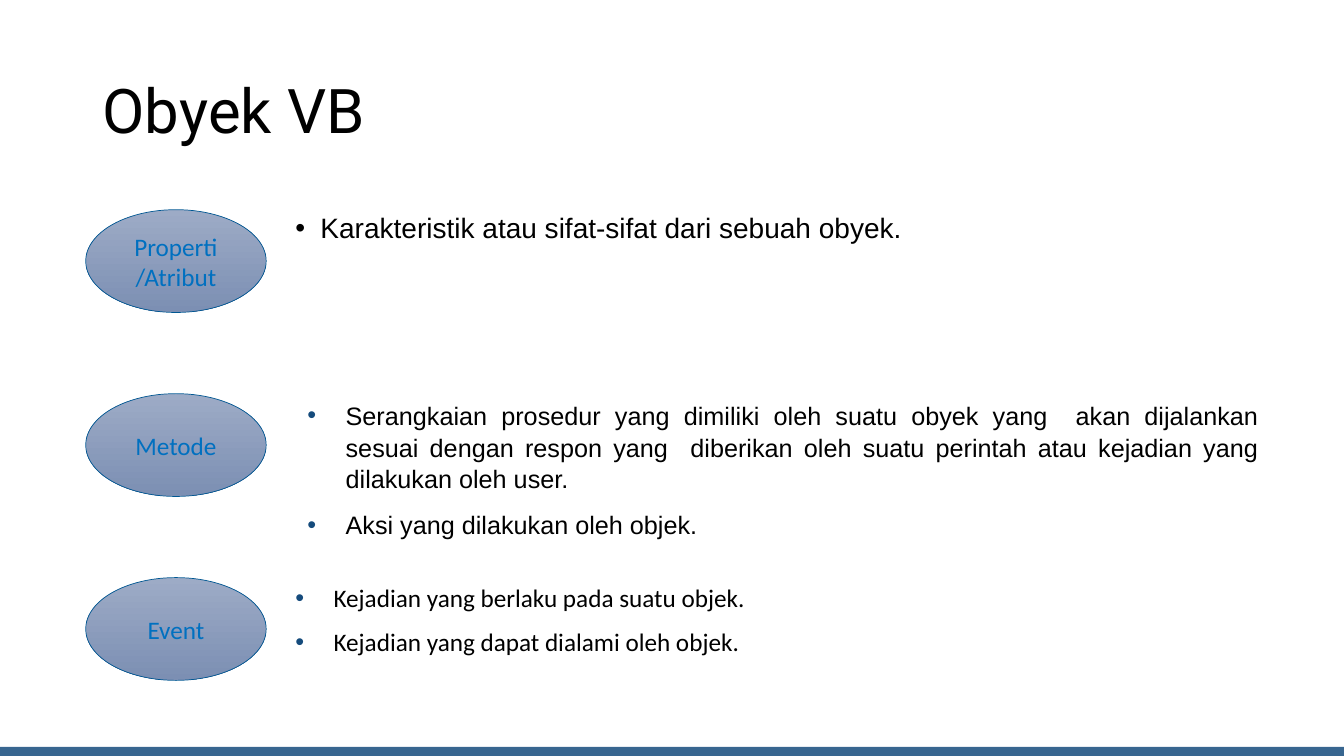
from lxml import etree
from pptx import Presentation
from pptx.dml.color import RGBColor
from pptx.enum.shapes import MSO_SHAPE as SHAPE
from pptx.enum.text import MSO_ANCHOR as ANCHOR, PP_ALIGN as ALIGN
from pptx.oxml.ns import qn
from pptx.util import Inches, Pt

BLACK = RGBColor(0x00, 0x00, 0x00)
LABEL_BLUE = RGBColor(0x00, 0x70, 0xC0)
OUTLINE = RGBColor(0x00, 0x57, 0x92)
BAR_BLUE = RGBColor(0x38, 0x66, 0x90)
BULLET_BLUE = RGBColor(0x15, 0x4B, 0x7C)
GRADIENT = [RGBColor(0x9D, 0xAB, 0xC6), RGBColor(0x7C, 0x8F, 0xB3)]

# Content
TITLE = "Obyek VB"
CONCEPTS = [
    {"label": ["Properti", "/Atribut"],
     "points": ["Karakteristik atau sifat-sifat dari sebuah obyek."],
     "font": "Arial", "size": 20, "height": 1.02, "indent": (0.25, 0.25),
     "bullet": BLACK, "format": {"line_spacing": 0.9}},
    {"label": ["Metode"],
     "points": ["Serangkaian prosedur yang dimiliki oleh suatu obyek yang  akan "
                "dijalankan sesuai dengan respon yang  diberikan oleh suatu "
                "perintah atau kejadian yang dilakukan oleh user.",
                "Aksi yang dilakukan oleh objek."],
     "font": "Arial", "size": 18, "height": 1.33, "indent": (0.5, 0.38),
     "bullet": BULLET_BLUE,
     "format": {"alignment": ALIGN.JUSTIFY, "line_spacing": 1.05}},
    {"label": ["Event"],
     "points": ["Kejadian yang berlaku pada suatu objek.",
                "Kejadian yang dapat dialami oleh objek."],
     "font": "Calibri", "size": 18, "height": 1.02, "indent": (0.38, 0.38),
     "bullet": BULLET_BLUE, "format": {}},
]

# Layout in inches
WIDTH, HEIGHT = 13.33, 7.5
BAR_TOP = 7.41
FIRST_ROW, ROW_STEP = 2.08, 1.825
OVAL_LEFT, OVAL_W, OVAL_H = 0.85, 1.79, 1.02
POINTS_LEFT, POINTS_W = 2.83, 9.75


def write(tf, lines, font, size, color, para_format, indent=None, bullet=None):
    """Fill a text frame with one paragraph per line."""
    tf.word_wrap = True
    for i, line in enumerate(lines):
        p = tf.paragraphs[0] if i == 0 else tf.add_paragraph()
        for name, value in para_format.items():
            setattr(p, name, value)
        if bullet is not None:
            if i:
                p.space_before = Pt(10)
            add_bullet(p, indent, bullet)
        r = p.add_run()
        r.text = line
        r.font.name, r.font.size = font, Pt(size)
        r.font.color.rgb = color


def add_bullet(p, indent, color):
    left, hanging = indent
    pPr = p._p.get_or_add_pPr()
    pPr.set("marL", str(Inches(left)))
    pPr.set("indent", str(-Inches(hanging)))
    bu_color = etree.SubElement(pPr, qn("a:buClr"))
    etree.SubElement(bu_color, qn("a:srgbClr")).set("val", str(color))
    etree.SubElement(pPr, qn("a:buFont")).set("typeface", "Arial")
    etree.SubElement(pPr, qn("a:buChar")).set("char", "•")


def add_text(s, left, top, width, height, anchor=ANCHOR.TOP):
    box = s.shapes.add_textbox(*map(Inches, (left, top, width, height)))
    box.text_frame.vertical_anchor = anchor
    return box.text_frame


def add_shape(s, kind, left, top, width, height):
    sp = s.shapes.add_shape(kind, *map(Inches, (left, top, width, height)))
    sp.shadow.inherit = False
    return sp


def add_oval(s, top, label):
    sp = add_shape(s, SHAPE.OVAL, OVAL_LEFT, top, OVAL_W, OVAL_H)
    sp.fill.gradient()
    sp.fill.gradient_angle = 270
    for stop, color in zip(sp.fill.gradient_stops, GRADIENT):
        stop.color.rgb = color
    sp.line.color.rgb = OUTLINE
    sp.line.width = Pt(0.5)
    sp.text_frame.vertical_anchor = ANCHOR.MIDDLE
    write(sp.text_frame, label, "Calibri", 18, LABEL_BLUE,
          {"alignment": ALIGN.CENTER})


def main():
    prs = Presentation()
    prs.slide_width, prs.slide_height = Inches(WIDTH), Inches(HEIGHT)
    s = prs.slides.add_slide(prs.slide_layouts[6])

    # Bottom bar
    bar = add_shape(s, SHAPE.RECTANGLE, 0, BAR_TOP, WIDTH, HEIGHT - BAR_TOP)
    bar.fill.solid()
    bar.fill.fore_color.rgb = BAR_BLUE
    bar.line.fill.background()

    # Title
    tf = add_text(s, 0.92, 0.4, 11.5, 1.45, ANCHOR.MIDDLE)
    write(tf, [TITLE], "Roboto", 44, BLACK, {"line_spacing": 0.9})

    # One row per concept: oval label and its points
    for i, c in enumerate(CONCEPTS):
        top = FIRST_ROW + i * ROW_STEP
        add_oval(s, top, c["label"])
        tf = add_text(s, POINTS_LEFT, top, POINTS_W, c["height"])
        write(tf, c["points"], c["font"], c["size"], BLACK, c["format"],
              c["indent"], c["bullet"])

    prs.save("out.pptx")


if __name__ == "__main__":
    main()
